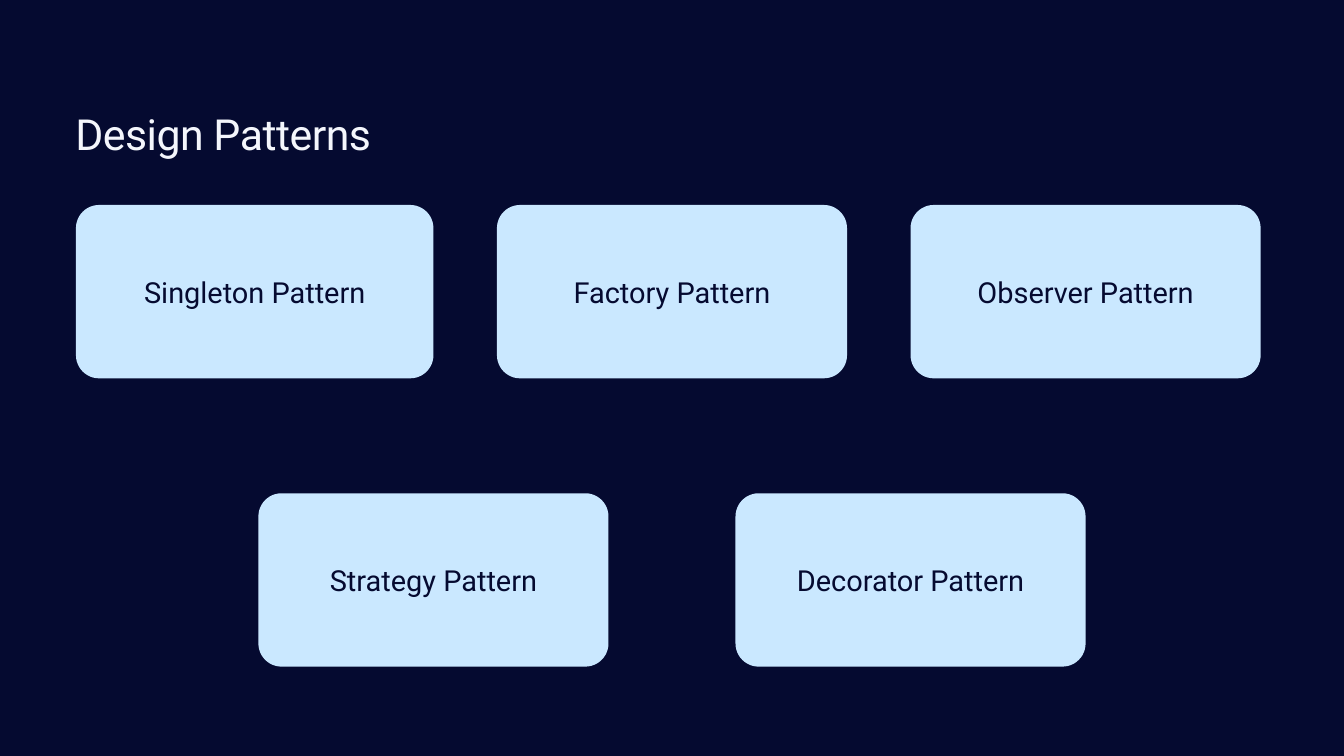
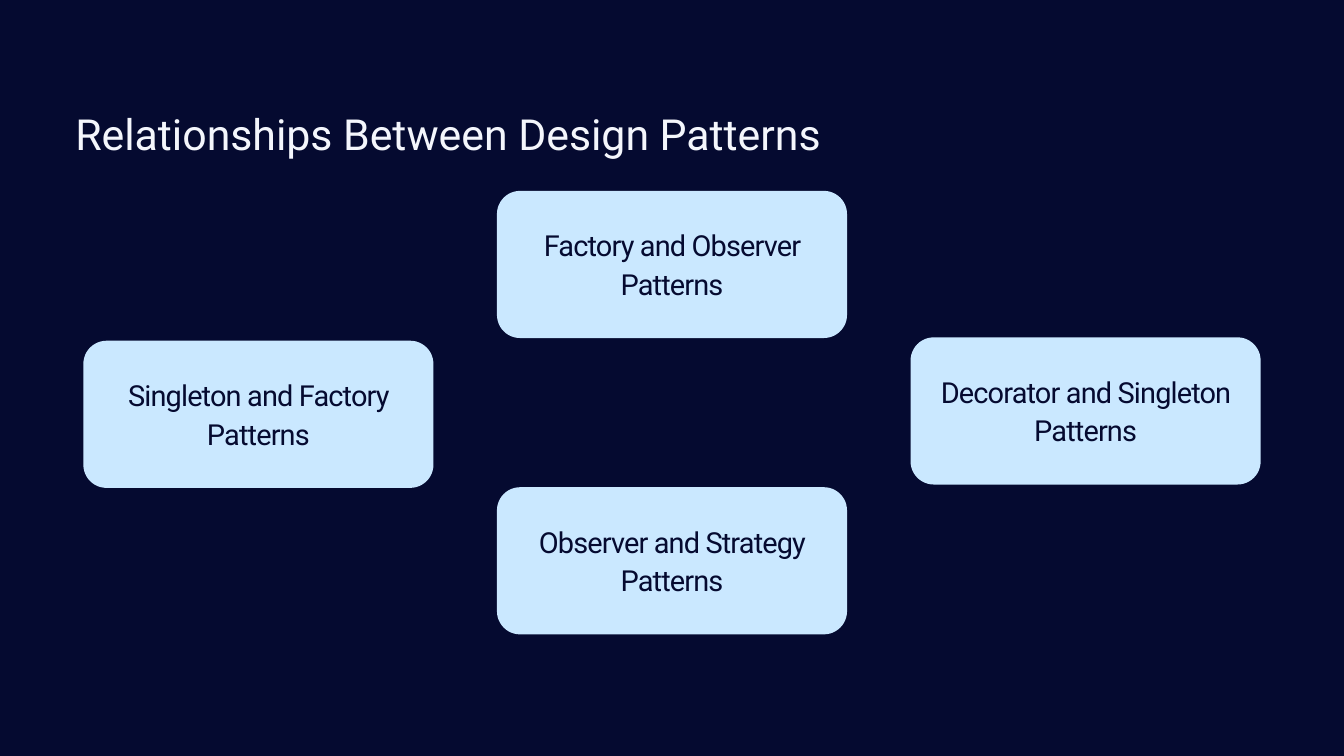
from pptx import Presentation
from pptx.dml.color import RGBColor
from pptx.enum.shapes import MSO_SHAPE
from pptx.enum.text import MSO_ANCHOR, MSO_AUTO_SIZE, PP_ALIGN
from pptx.util import Inches, Pt

ROUNDED = MSO_SHAPE.ROUNDED_RECTANGLE
TOP, MIDDLE = MSO_ANCHOR.TOP, MSO_ANCHOR.MIDDLE
LEFT, CENTER = PP_ALIGN.LEFT, PP_ALIGN.CENTER
NO_AUTOFIT = MSO_AUTO_SIZE.NONE

NAVY, PALE_BLUE, OFF_WHITE = "050A30", "CAE8FF", "F4F6FC"
FONT = "Roboto"
TITLE_ONLY = 5

# Grid in inches: cards are placed by their distance from the slide's centre line
SLIDE_WIDTH, SLIDE_HEIGHT = 20, 11.25
CARD_WIDTH, GAP, RADIUS = 5.21, 0.945, 0.345
COLUMN = CARD_WIDTH + GAP
HALF_PAIR = CARD_WIDTH / 2 + GAP
WIDE = 5.32

# Title, title width, title tracking, card height, card tracking,
# cards (text, offset from centre line, top, width)
SLIDES = [
    ("Design Patterns", 11.34, -0.5, 2.58, 0, [
        ("Singleton Pattern", -COLUMN - (WIDE - CARD_WIDTH) / 2, 3.05, WIDE),
        ("Factory Pattern", 0, 3.05, CARD_WIDTH),
        ("Observer Pattern", COLUMN, 3.05, CARD_WIDTH),
        ("Strategy Pattern", -HALF_PAIR, 7.34, CARD_WIDTH),
        ("Decorator Pattern", HALF_PAIR, 7.34, CARD_WIDTH),
    ]),
    ("Relationships Between Design Patterns", 13.55, 0, 2.19, -0.9, [
        ("Singleton and Factory Patterns", -COLUMN, 5.07, CARD_WIDTH),
        ("Factory and Observer Patterns", 0, 2.84, CARD_WIDTH),
        ("Decorator and Singleton Patterns", COLUMN, 5.02, CARD_WIDTH),
        ("Observer and Strategy Patterns", 0, 7.25, CARD_WIDTH),
    ]),
]


def color(hex_string):
    return RGBColor.from_string(hex_string)


def write(shape, text, size, line, text_color, tracking, align, anchor, side=0, bottom=0):
    """Set the shape's text; size, line spacing and tracking in points, insets in inches."""
    frame = shape.text_frame
    frame.text = text
    frame.word_wrap = True
    frame.auto_size = NO_AUTOFIT
    frame.vertical_anchor = anchor
    frame.margin_left = frame.margin_right = Inches(side)
    frame.margin_top, frame.margin_bottom = 0, Inches(bottom)
    paragraph = frame.paragraphs[0]
    paragraph.alignment = align
    paragraph.line_spacing = Pt(line)
    run = paragraph.runs[0]
    run.font.name = FONT
    run.font.size = Pt(size)
    run.font.color.rgb = color(text_color)
    if tracking:
        run._r.get_or_add_rPr().set("spc", str(round(tracking * 100)))


presentation = Presentation()
presentation.slide_width = Inches(SLIDE_WIDTH)
presentation.slide_height = Inches(SLIDE_HEIGHT)
background = presentation.slide_master.background.fill
background.solid()
background.fore_color.rgb = color(NAVY)

for title_text, title_width, title_tracking, card_height, card_tracking, cards in SLIDES:
    slide = presentation.slides.add_slide(presentation.slide_layouts[TITLE_ONLY])
    title = slide.shapes.title
    title.left, title.top = Inches(1.12), Inches(1.57)
    title.width, title.height = Inches(title_width), Inches(0.8)
    write(title, title_text, 45.9, 57.3, OFF_WHITE, title_tracking, LEFT, TOP)

    for text, offset, top, width in cards:
        left = SLIDE_WIDTH / 2 + offset - width / 2
        card = slide.shapes.add_shape(
            ROUNDED, Inches(left), Inches(top), Inches(width), Inches(card_height))
        card.adjustments[0] = RADIUS / card_height
        card.shadow.inherit = False
        card.fill.solid()
        card.fill.fore_color.rgb = color(PALE_BLUE)
        card.line.fill.background()
        write(card, text, 31, 41.2, NAVY, card_tracking, CENTER, MIDDLE, side=0.3, bottom=0.05)

presentation.save("out.pptx")
